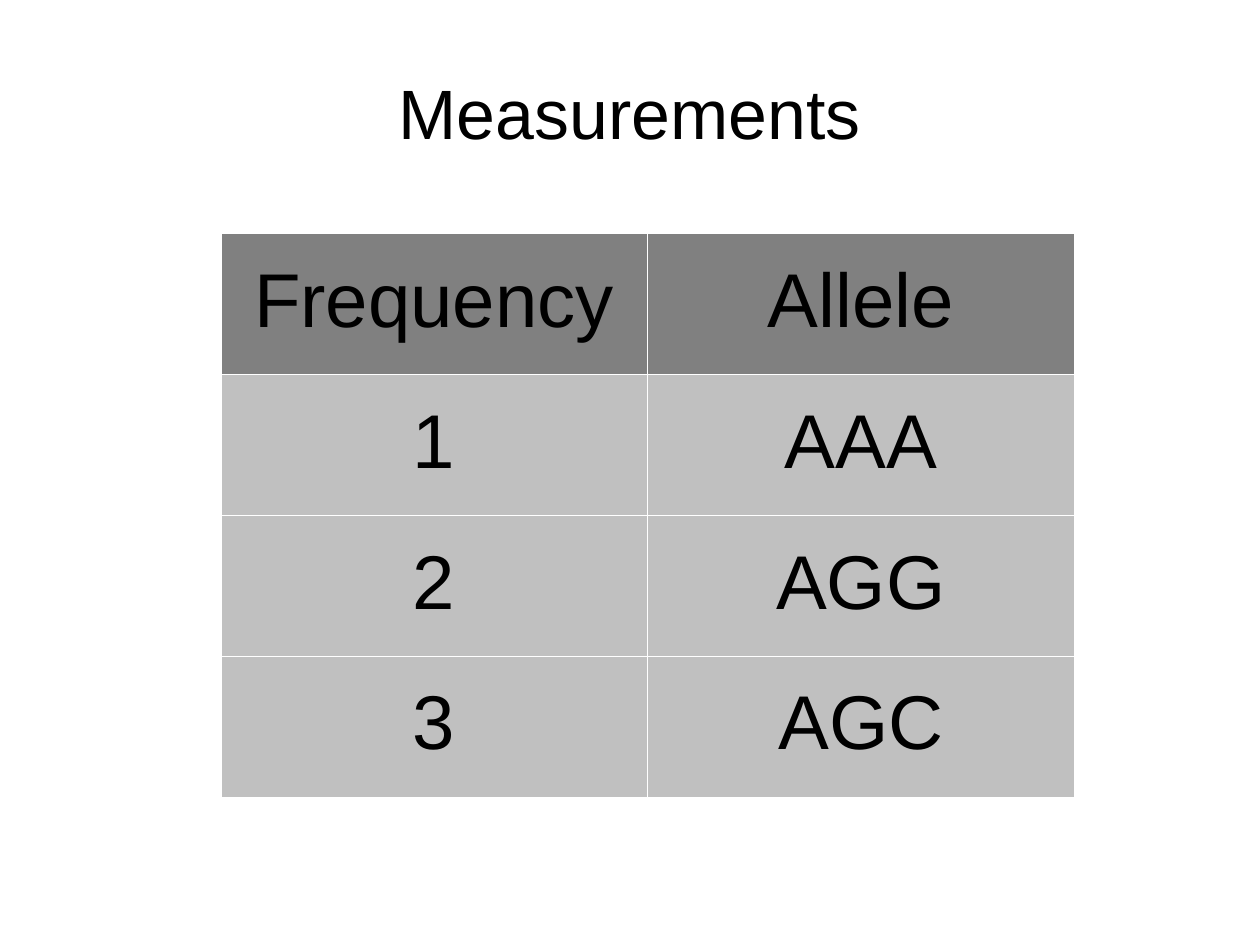
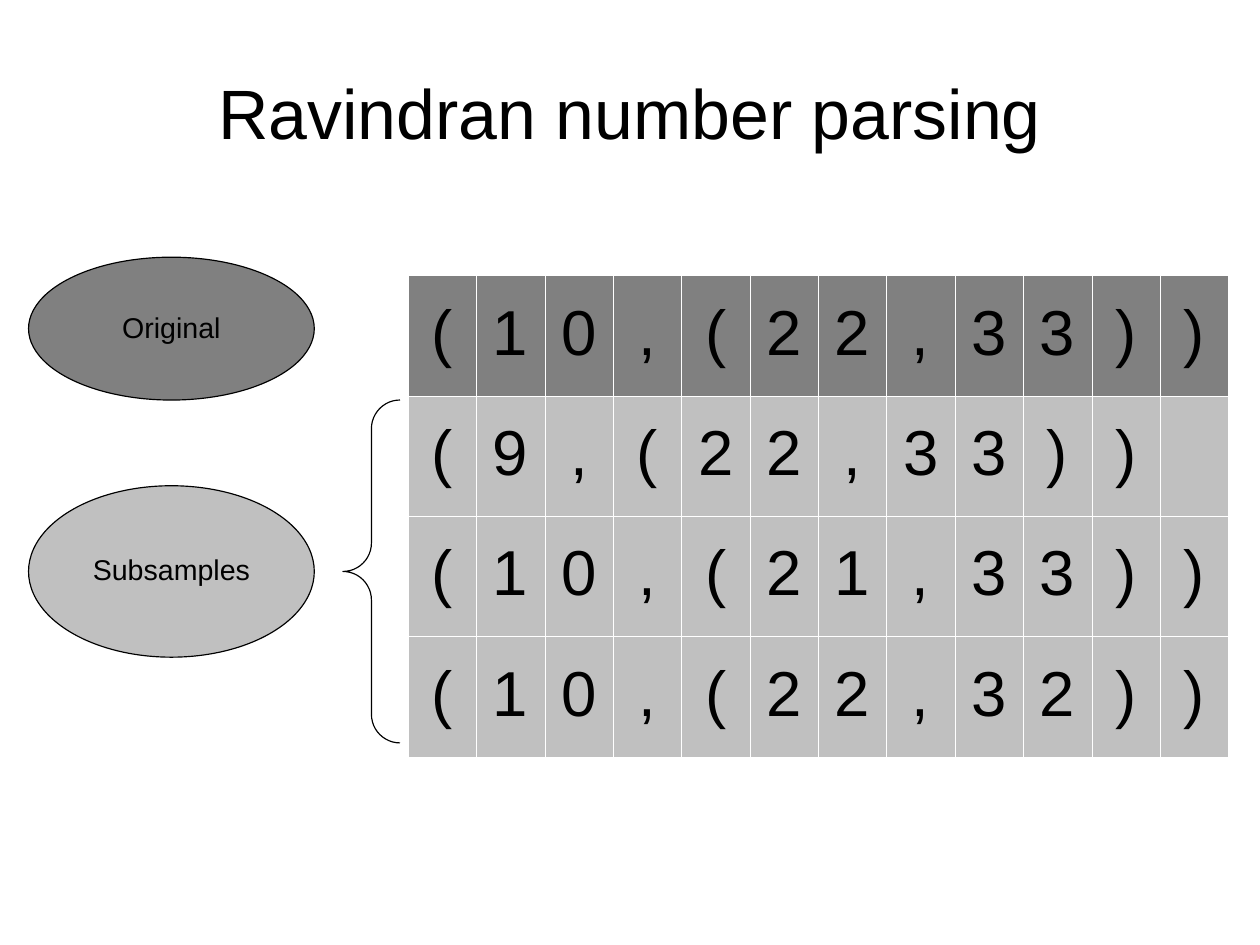
from dataclasses import dataclass
from itertools import zip_longest

from lxml import etree
from pptx import Presentation, util as u
from pptx.dml.color import RGBColor
from pptx.enum import shapes, text
from pptx.oxml.ns import qn
from pptx.slide import Slide
from pptx.table import _Cell
from pptx.text.text import TextFrame

WIDTH, HEIGHT = u.Cm(28), u.Cm(21)
GRID = 0.25  # inches per column and per row
TITLE_ONLY = 5


@dataclass(frozen=True)
class Theme:
    font: str = "Arial"
    ink: str = "000000"
    original: str = "808080"
    subsample: str = "C0C0C0"
    rule: str = "FFFFFF"
    rule_width: float = 0.06
    outline_width: float = 0.75
    line_spacing: float = 0.93
    title_size: int = 44
    measurement_size: int = 48
    symbol_size: int = 40
    label_size: int = 18


THEME = Theme()


@dataclass(frozen=True)
class Box:
    """Place on the slide, in grid columns and rows."""
    column: float
    row: float
    columns: float
    rows: float

    def emu(self) -> tuple[int, ...]:
        return tuple(u.Inches(n * GRID)
                     for n in (self.column, self.row, self.columns, self.rows))


@dataclass(frozen=True)
class Group:
    label: str
    box: Box
    fill: str


MEASUREMENTS = [("Frequency", "Allele"), ("1", "AAA"), ("2", "AGG"), ("3", "AGC")]
NUMBERS = ["(10,(22,33))", "(9,(22,33))", "(10,(21,33))", "(10,(22,32))"]
GROUPS = [
    Group("Original", Box(1, 9, 10, 5), THEME.original),
    Group("Subsamples", Box(1, 17, 10, 6), THEME.subsample),
]


def set_text(frame: TextFrame, words: str, size: int) -> None:
    """Centred text in the shared font."""
    frame.text = words
    paragraph = frame.paragraphs[0]
    paragraph.alignment = text.PP_ALIGN.CENTER
    paragraph.line_spacing = THEME.line_spacing
    for run in paragraph.runs:
        run.font.name = THEME.font
        run.font.size = u.Pt(size)
        run.font.color.rgb = RGBColor.from_string(THEME.ink)


def add_titled_slide(deck: Presentation, words: str) -> Slide:
    slide = deck.slides.add_slide(deck.slide_layouts[TITLE_ONLY])
    title = slide.shapes.title
    title.left, title.top = u.Emu(int(WIDTH * 0.05)), u.Emu(int(HEIGHT * 0.04))
    title.width, title.height = u.Emu(int(WIDTH * 0.9)), u.Emu(HEIGHT // 6)
    frame = title.text_frame
    frame.margin_left = frame.margin_right = frame.margin_top = frame.margin_bottom = 0
    frame.vertical_anchor = text.MSO_ANCHOR.MIDDLE
    frame.auto_size = text.MSO_AUTO_SIZE.NONE
    set_text(frame, words, THEME.title_size)
    return slide


def add_borders(cell: _Cell) -> None:
    """Hairlines on all four sides, placed before the cell's fill."""
    properties = cell._tc.get_or_add_tcPr()
    for index, side in enumerate(("lnL", "lnR", "lnT", "lnB")):
        line = etree.Element(qn(f"a:{side}"), w=str(int(u.Pt(THEME.rule_width))))
        solid = etree.SubElement(line, qn("a:solidFill"))
        etree.SubElement(solid, qn("a:srgbClr"), val=THEME.rule)
        properties.insert(index, line)


def add_sample_table(slide: Slide, rows: list, box: Box, size: int) -> None:
    """Table of equal columns and rows, with a darker first row."""
    column_count = max(map(len, rows))
    left, top, width, height = box.emu()
    table = slide.shapes.add_table(len(rows), column_count,
                                   left, top, width, height).table
    table.first_row = table.horz_banding = False
    for column in table.columns:
        column.width = u.Emu(width // column_count)
    for row_index, (row, entries) in enumerate(zip(table.rows, rows)):
        row.height = u.Emu(height // len(rows))
        for cell, entry in zip_longest(row.cells, entries, fillvalue=""):
            cell.fill.solid()
            cell.fill.fore_color.rgb = RGBColor.from_string(
                THEME.subsample if row_index else THEME.original)
            cell.vertical_anchor = text.MSO_ANCHOR.MIDDLE
            add_borders(cell)
            set_text(cell.text_frame, entry, size)


def add_outlined(slide: Slide, kind: shapes.MSO_SHAPE, box: Box):
    shape = slide.shapes.add_shape(kind, *box.emu())
    shape.shadow.inherit = False
    shape.line.color.rgb = RGBColor.from_string(THEME.ink)
    shape.line.width = u.Pt(THEME.outline_width)
    return shape


def add_group(slide: Slide, group: Group) -> None:
    oval = add_outlined(slide, shapes.MSO_SHAPE.OVAL, group.box)
    oval.fill.solid()
    oval.fill.fore_color.rgb = RGBColor.from_string(group.fill)
    oval.text_frame.word_wrap = False
    oval.text_frame.vertical_anchor = text.MSO_ANCHOR.MIDDLE
    set_text(oval.text_frame, group.label, THEME.label_size)


def main() -> None:
    deck = Presentation()
    deck.slide_width, deck.slide_height = WIDTH, HEIGHT

    # Measured alleles
    measurements = add_titled_slide(deck, "Measurements")
    add_sample_table(measurements, MEASUREMENTS, Box(7.72, 8.16, 29.88, 19.72),
                     THEME.measurement_size)

    # One symbol per cell, with the row groups named at the left
    parsing = add_titled_slide(deck, "Ravindran number parsing")
    add_sample_table(parsing, NUMBERS, Box(14.28, 9.64, 28.72, 16.84),
                     THEME.symbol_size)
    for group in GROUPS:
        add_group(parsing, group)
    brace = add_outlined(parsing, shapes.MSO_SHAPE.LEFT_BRACE, Box(12, 14, 2, 12))
    brace.fill.background()
    brace.adjustments[0] = 0.5  # round corners, one grid unit in radius

    deck.save("out.pptx")


if __name__ == "__main__":
    main()
